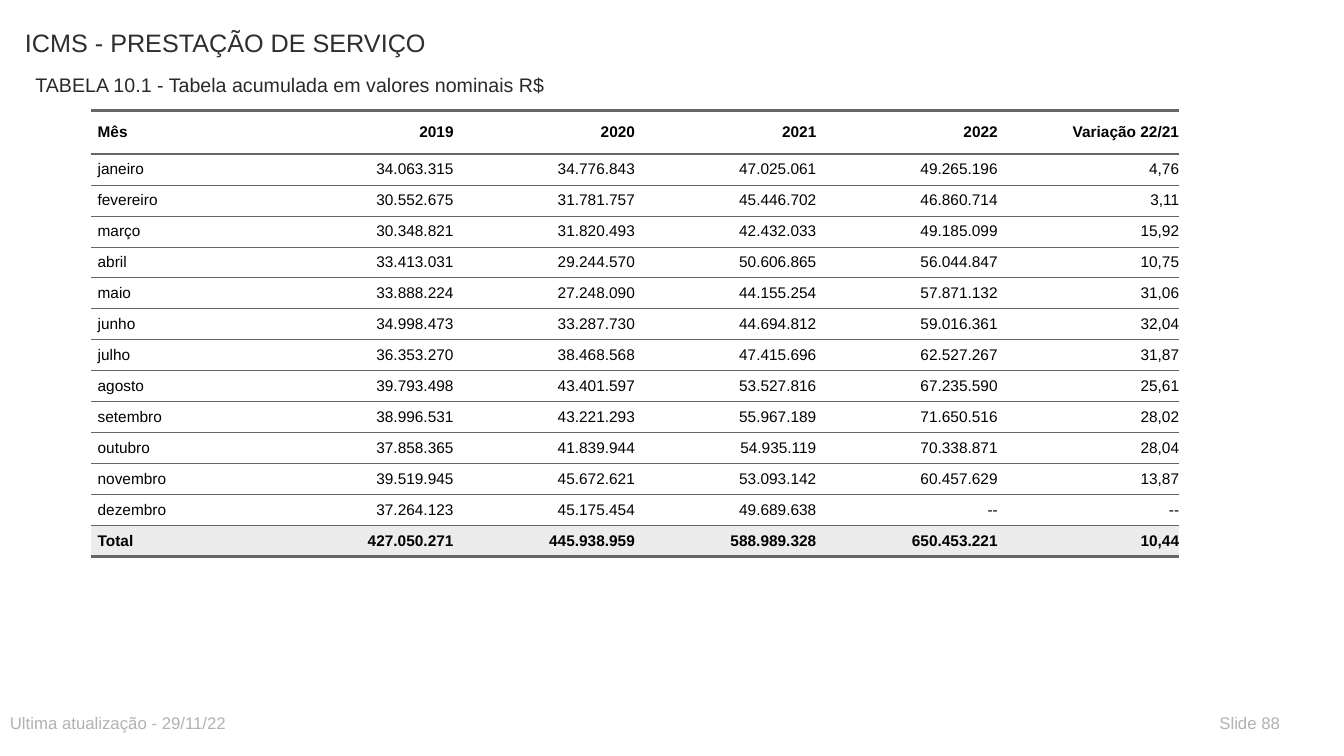
import pptx
import pptx.dml.color
import pptx.enum.text
import pptx.oxml.ns
import pptx.util
from lxml import etree

Cm = pptx.util.Cm
Pt = pptx.util.Pt
RGBColor = pptx.dml.color.RGBColor
ALIGN = pptx.enum.text.PP_ALIGN
ANCHOR = pptx.enum.text.MSO_ANCHOR
qn = pptx.oxml.ns.qn

FONT = "Arial"
WHITE = RGBColor(0xFF, 0xFF, 0xFF)
BLACK = RGBColor(0x00, 0x00, 0x00)
TITLE_INK = RGBColor(0x2D, 0x2E, 0x2D)
SUBTITLE_INK = RGBColor(0x29, 0x29, 0x29)
FOOTER_INK = RGBColor(0xB2, 0xB2, 0xB2)
RULE = RGBColor(0x66, 0x66, 0x66)
TOTAL_FILL = RGBColor(0xEC, 0xEC, 0xEC)

THICK, THIN = 2, 0.5

MONTHLY_ICMS = [
    ("Mês", "2019", "2020", "2021", "2022", "Variação 22/21"),
    ("janeiro", "34.063.315", "34.776.843", "47.025.061", "49.265.196", "4,76"),
    ("fevereiro", "30.552.675", "31.781.757", "45.446.702", "46.860.714", "3,11"),
    ("março", "30.348.821", "31.820.493", "42.432.033", "49.185.099", "15,92"),
    ("abril", "33.413.031", "29.244.570", "50.606.865", "56.044.847", "10,75"),
    ("maio", "33.888.224", "27.248.090", "44.155.254", "57.871.132", "31,06"),
    ("junho", "34.998.473", "33.287.730", "44.694.812", "59.016.361", "32,04"),
    ("julho", "36.353.270", "38.468.568", "47.415.696", "62.527.267", "31,87"),
    ("agosto", "39.793.498", "43.401.597", "53.527.816", "67.235.590", "25,61"),
    ("setembro", "38.996.531", "43.221.293", "55.967.189", "71.650.516", "28,02"),
    ("outubro", "37.858.365", "41.839.944", "54.935.119", "70.338.871", "28,04"),
    ("novembro", "39.519.945", "45.672.621", "53.093.142", "60.457.629", "13,87"),
    ("dezembro", "37.264.123", "45.175.454", "49.689.638", "--", "--"),
    ("Total", "427.050.271", "445.938.959", "588.989.328", "650.453.221", "10,44"),
]


def format_runs(paragraph, size, color, bold=False):
    for run in paragraph.runs:
        run.font.name = FONT
        run.font.size = Pt(size)
        run.font.bold = bold
        run.font.color.rgb = color


def write_line(holder, box, text, size, color):
    holder.left, holder.top, holder.width, holder.height = (Cm(n) for n in box)
    frame = holder.text_frame
    frame.text = text
    frame.word_wrap = True
    frame.auto_size = pptx.enum.text.MSO_AUTO_SIZE.NONE
    frame.vertical_anchor = ANCHOR.TOP
    frame.margin_left = frame.margin_right = Cm(0.25)
    frame.margin_top, frame.margin_bottom = Cm(0.19), Cm(0)
    line = frame.paragraphs[0]
    properties = line._p.get_or_add_pPr()
    properties.set("marL", "0")
    properties.set("indent", "0")
    etree.SubElement(properties, qn("a:buNone"))
    line.alignment = ALIGN.LEFT
    line.space_before = Pt(0)
    format_runs(line, size, color)


def add_heading(slide, box):
    left, top, width, height = box
    write_line(slide.shapes.title, (left, top, width, height),
               "ICMS - PRESTAÇÃO DE SERVIÇO", 18, TITLE_INK)
    write_line(slide.placeholders[1], (left + 0.26, top + 1.14, 16.51, 0.76),
               "TABELA 10.1 - Tabela acumulada em valores nominais R$", 14, SUBTITLE_INK)


def add_border(cell, side, width):
    border = etree.SubElement(cell._tc.get_or_add_tcPr(), qn(f"a:{side}"))
    if not width:
        etree.SubElement(border, qn("a:noFill"))
        return
    border.set("w", str(Pt(width)))
    fill = etree.SubElement(border, qn("a:solidFill"))
    etree.SubElement(fill, qn("a:srgbClr")).set("val", str(RULE))


def fill_cell(cell, text, align, bold, fill, rule_above, rule_below):
    cell.text_frame.text = text
    cell.vertical_anchor = ANCHOR.MIDDLE
    cell.margin_left = cell.margin_right = Cm(0)
    cell.margin_top = cell.margin_bottom = Cm(0.17)
    entry = cell.text_frame.paragraphs[0]
    entry._p.get_or_add_pPr().set("marL", str(Cm(0.17)))
    entry.alignment = align
    format_runs(entry, 11, BLACK, bold)
    for side, width in (("lnL", 0), ("lnR", 0), ("lnT", rule_above), ("lnB", rule_below)):
        add_border(cell, side, width)
    cell.fill.solid()
    cell.fill.fore_color.rgb = fill


def add_monthly_table(slide, box):
    row_count, column_count = len(MONTHLY_ICMS), len(MONTHLY_ICMS[0])
    total_row = row_count - 1
    table = slide.shapes.add_table(row_count, column_count, *(Cm(n) for n in box)).table
    table.first_row = table.horz_banding = False
    for column in table.columns:
        column.width = Cm(box[2] / column_count)
    for index, row in enumerate(table.rows):
        row.height = Cm(0.78 if index else 1.09)
    rules = [THICK, THICK] + [THIN] * (row_count - 2) + [THICK]
    for r, values in enumerate(MONTHLY_ICMS):
        for c, value in enumerate(values):
            fill_cell(table.cell(r, c), value,
                      ALIGN.RIGHT if c else ALIGN.LEFT,
                      r in (0, total_row),
                      TOTAL_FILL if r == total_row else WHITE,
                      rules[r], rules[r + 1])


def add_footer(slide, box):
    left, top, width, height = box
    number_width = 2.29
    notes = (("Ultima atualização - 29/11/22", left, 16.51),
             ("Slide 88", left + width - number_width, number_width))
    for text, note_left, note_width in notes:
        place = (note_left, top, note_width, height)
        note = slide.shapes.add_textbox(*(Cm(n) for n in place))
        write_line(note, place, text, 12, FOOTER_INK)


def main():
    deck = pptx.Presentation()
    deck.slide_width, deck.slide_height = Cm(33.87), Cm(19.05)
    slide = deck.slides.add_slide(deck.slide_layouts[1])
    add_heading(slide, (0.38, 0.51, 20.32, 1.5))
    add_monthly_table(slide, (2.29, 2.79, 27.43, 11.23))
    add_footer(slide, (0, 17.78, 32.77, 0.76))
    deck.save("out.pptx")


if __name__ == "__main__":
    main()
